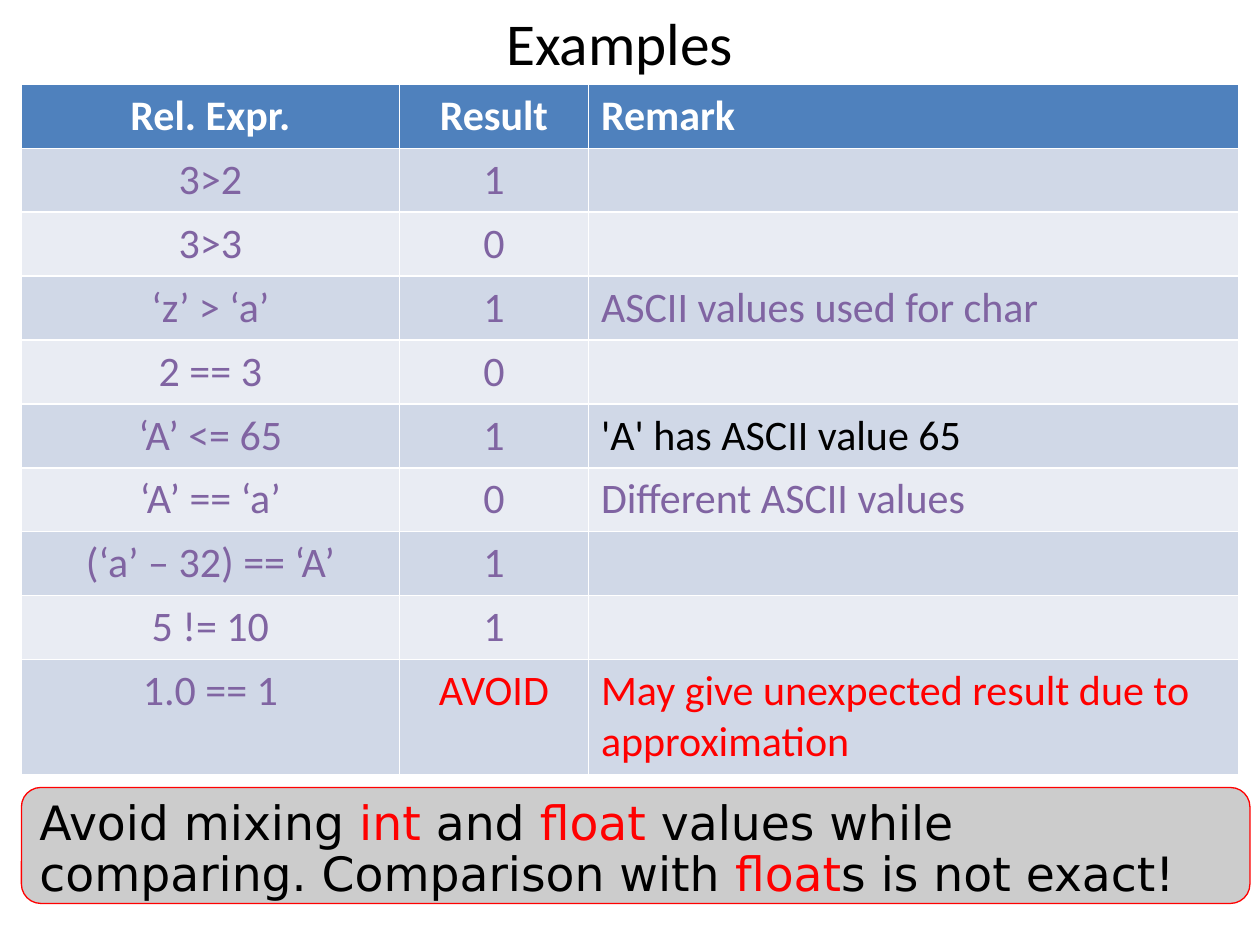
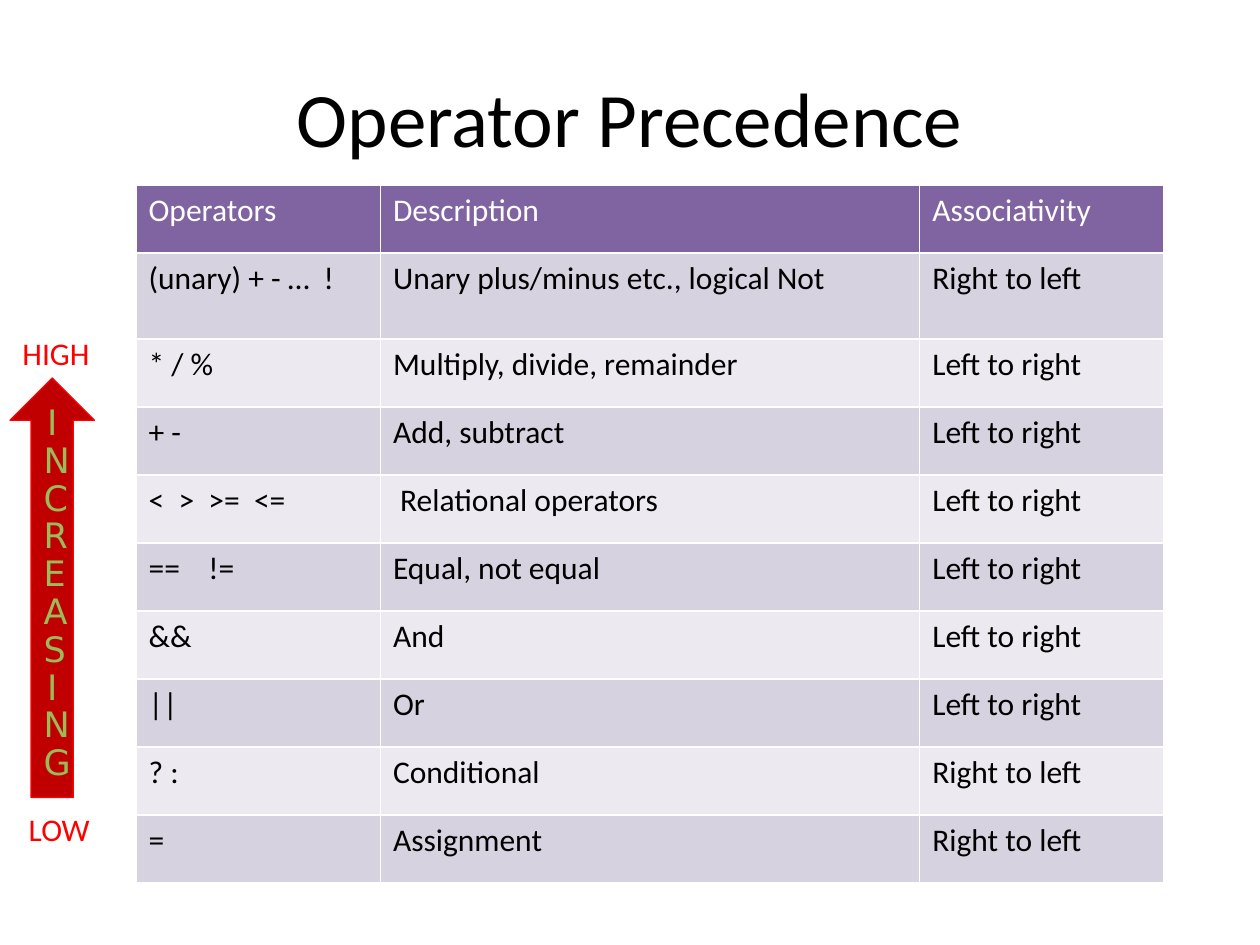
import pptx
import pptx.util
import pptx.dml.color
import pptx.enum.shapes
import pptx.enum.text
import pptx.oxml.ns
import lxml.etree

Inches, Pt = pptx.util.Inches, pptx.util.Pt
RGBColor = pptx.dml.color.RGBColor
PP_ALIGN = pptx.enum.text.PP_ALIGN
MSO_ANCHOR = pptx.enum.text.MSO_ANCHOR
MSO_SHAPE = pptx.enum.shapes.MSO_SHAPE
qn = pptx.oxml.ns.qn

BLACK = RGBColor(0x00, 0x00, 0x00)
WHITE = RGBColor(0xFF, 0xFF, 0xFF)
RED = RGBColor(0xFF, 0x00, 0x00)
DARK_RED = RGBColor(0xC0, 0x00, 0x00)
GREEN = RGBColor(0x9B, 0xBB, 0x59)
GREY = RGBColor(0xCC, 0xCC, 0xCC)
BLUE = RGBColor(0x4F, 0x81, 0xBD)
BLUE_BANDS = [RGBColor(0xD0, 0xD8, 0xE7), RGBColor(0xE9, 0xEC, 0xF3)]
PURPLE = RGBColor(0x80, 0x64, 0xA2)
PURPLE_BANDS = [RGBColor(0xD7, 0xD2, 0xDF), RGBColor(0xEC, 0xEA, 0xF0)]
BODY_FONT = "Calibri"
NOTE_FONT = "DejaVu Sans"


def add_text(p, text, size=18, color=BLACK, font=BODY_FONT, bold=False, align=None):
    if align is not None:
        p.alignment = align
    r = p.add_run()
    r.text = text
    r.font.size = Pt(size)
    r.font.name = font
    r.font.bold = bold
    r.font.color.rgb = color


def add_table(s, left, top, widths, heights, rows, head, bands, size,
              color, bold_head=False, centred=(), colors={}):
    gf = s.shapes.add_table(len(rows), len(widths), Inches(left), Inches(top),
                            Inches(sum(widths)), Inches(sum(heights)))
    table = gf.table
    for col, width in zip(table.columns, widths):
        col.width = Inches(width)
    for i, (row, height) in enumerate(zip(rows, heights)):
        table.rows[i].height = Inches(height)
        for j, text in enumerate(row):
            cell = table.cell(i, j)
            tcPr = cell._tc.get_or_add_tcPr()
            for side in ("a:lnL", "a:lnR", "a:lnT", "a:lnB"):
                ln = lxml.etree.SubElement(tcPr, qn(side), w=str(Pt(0.96)))
                fill = lxml.etree.SubElement(ln, qn("a:solidFill"))
                lxml.etree.SubElement(fill, qn("a:srgbClr"), val=str(WHITE))
            cell.fill.solid()
            cell.fill.fore_color.rgb = bands[(i - 1) % 2] if i else head
            if text:
                add_text(cell.text_frame.paragraphs[0], text, size=size,
                         color=colors.get(text, color) if i else WHITE,
                         bold=bold_head and i == 0,
                         align=PP_ALIGN.CENTER if j in centred else PP_ALIGN.LEFT)


prs = pptx.Presentation()
prs.slide_width = Inches(10)
prs.slide_height = Inches(7.5)

titles = [
    ("Examples", 33.9, (0.67, 0, 8.5, 0.67)),
    ("Operator Precedence", 44, (0.5, 0.3, 9, 1.25)),
]
for text, size, box in titles:
    s = prs.slides.add_slide(prs.slide_layouts[5])
    title = s.shapes.title
    title.left, title.top, title.width, title.height = map(Inches, box)
    title.text_frame.vertical_anchor = MSO_ANCHOR.MIDDLE
    add_text(title.text_frame.paragraphs[0], text, size=size, align=PP_ALIGN.CENTER)
examples, precedence = prs.slides

approximation = "May give unexpected result due to approximation"
ascii_value = "'A' has ASCII value 65"
expressions = [
    ("Rel. Expr.", "Result", "Remark"),
    ("3>2", "1", ""),
    ("3>3", "0", ""),
    ("‘z’ > ‘a’", "1", "ASCII values used for char"),
    ("2 == 3", "0", ""),
    ("‘A’ <= 65", "1", ascii_value),
    ("‘A’ == ‘a’", "0", "Different ASCII values"),
    ("(‘a’ – 32) == ‘A’", "1", ""),
    ("5 != 10", "1", ""),
    ("1.0 == 1", "AVOID", approximation),
]
add_table(examples, 0.17, 0.67, [3, 1.5, 5.16], [0.49] * 9 + [0.88], expressions,
          BLUE, BLUE_BANDS, 24, PURPLE, bold_head=True, centred=(0, 1),
          colors={"AVOID": RED, approximation: RED, ascii_value: BLACK})

note = examples.shapes.add_shape(MSO_SHAPE.ROUNDED_RECTANGLE, Inches(0.17), Inches(6.25),
                                 Inches(9.75), Inches(0.92))
arrow = precedence.shapes.add_shape(MSO_SHAPE.UP_ARROW, Inches(0.08), Inches(3),
                                    Inches(0.67), Inches(3.33))
for sp, color in [(note, GREY), (arrow, DARK_RED)]:
    sp.shadow.inherit = False
    sp.fill.solid()
    sp.fill.fore_color.rgb = color
    sp.line.color.rgb = RED
    sp.line.width = Pt(0.75)
    sp.text_frame.word_wrap = True
    sp.text_frame.vertical_anchor = MSO_ANCHOR.TOP
    sp.text_frame.paragraphs[0].line_spacing = 0.9

note_runs = [
    ("Avoid mixing ", BLACK),
    ("int ", RED),
    ("and ", BLACK),
    ("float", RED),
    (" values while comparing. Comparison with ", BLACK),
    ("float", RED),
    ("s is not exact!", BLACK),
]
for text, color in note_runs:
    add_text(note.text_frame.paragraphs[0], text, size=27, color=color,
             font=NOTE_FONT, align=PP_ALIGN.LEFT)
add_text(arrow.text_frame.paragraphs[0], "INCREASING", size=20, color=GREEN,
         font=NOTE_FONT, align=PP_ALIGN.CENTER)

operators = [
    ("Operators", "Description", "Associativity"),
    ("(unary) + - …  !", "Unary plus/minus etc., logical Not", "Right to left"),
    ("* / %", "Multiply, divide, remainder", "Left to right"),
    ("+ -", "Add, subtract", "Left to right"),
    ("<  >  >=  <=", " Relational operators", "Left to right"),
    ("==    !=", "Equal, not equal", "Left to right"),
    ("&&", "And", "Left to right"),
    ("||", "Or", "Left to right"),
    ("? :", "Conditional", "Right to left"),
    ("=", "Assignment", "Right to left"),
]
add_table(precedence, 1.08, 1.47, [1.94, 4.28, 1.94], [0.54, 0.68] + [0.54] * 8,
          operators, PURPLE, PURPLE_BANDS, 18, BLACK)

for text, left, top, width in [("LOW", 0.13, 6.38, 0.77), ("HIGH", 0.08, 2.6, 0.84)]:
    sp = precedence.shapes.add_textbox(Inches(left), Inches(top), Inches(width), Inches(0.4))
    sp.text_frame.word_wrap = True
    add_text(sp.text_frame.paragraphs[0], text, color=RED)

prs.save("out.pptx")
